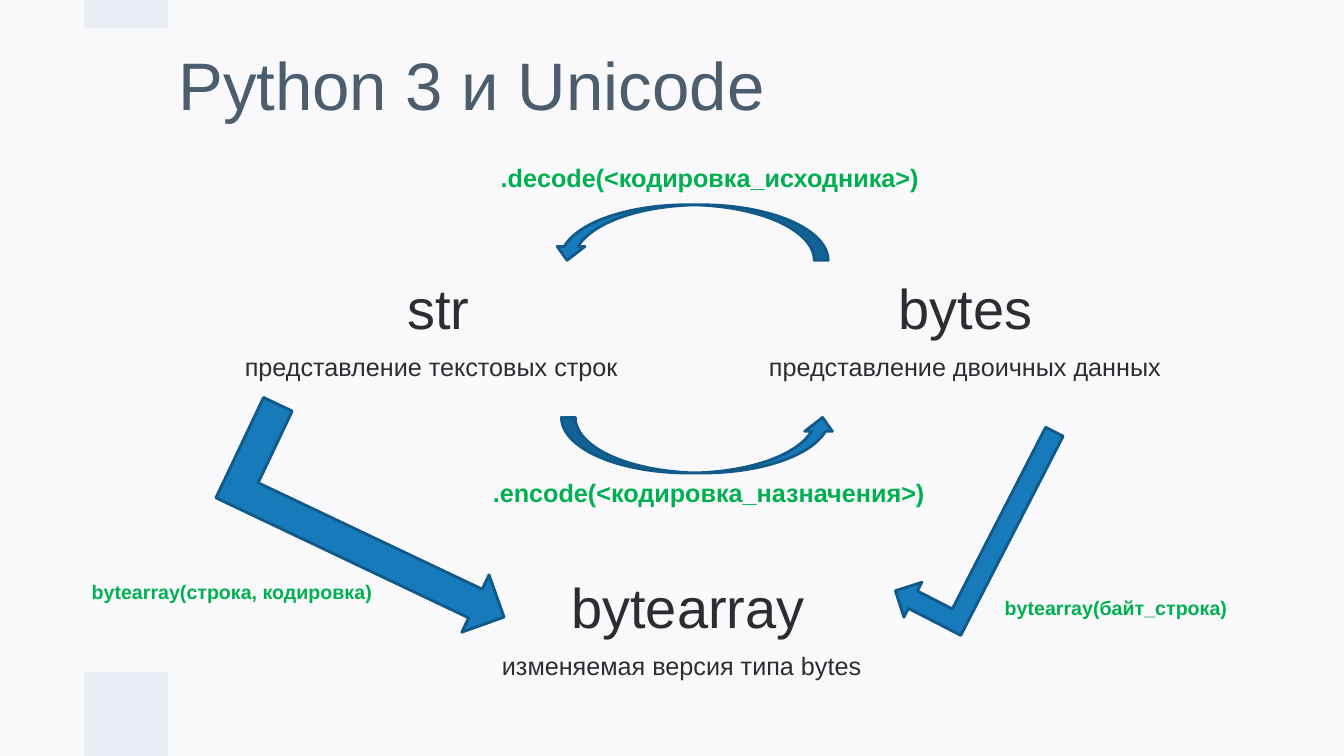
from dataclasses import dataclass

from pptx import Presentation
from pptx.dml.color import RGBColor
from pptx.enum.shapes import MSO_SHAPE
from pptx.enum.text import MSO_ANCHOR, PP_ALIGN
from pptx.util import Cm, Pt


@dataclass(frozen=True)
class Theme:
    """Colours, font and type sizes of the slide."""
    font: str = "Arial"
    background: str = "F9F9FB"
    band: str = "E9EDF4"
    title: str = "4C5D6E"
    text: str = "2C2D30"
    code: str = "00B050"
    arrow: str = "177BBB"
    outline: str = "105988"
    title_size: int = 48
    type_size: int = 40
    body_size: int = 18
    call_size: int = 14


def write(sp, text, *, font, size, color, bold=False, anchor=MSO_ANCHOR.TOP, spacing=None):
    """Put one formatted paragraph into a shape."""
    tf = sp.text_frame
    tf.word_wrap = True
    tf.vertical_anchor = anchor
    p = tf.paragraphs[0]
    p.alignment = PP_ALIGN.LEFT
    p.line_spacing = spacing
    r = p.add_run()
    r.text = text
    r.font.name = font
    r.font.size = Pt(size)
    r.font.bold = bold
    r.font.color.rgb = RGBColor.from_string(color)


class SlideBuilder:
    """Holds the theme and the current slide."""

    def __init__(self, prs, theme):
        """Add a title-only slide with a plain background."""
        self.theme = theme
        self.s = prs.slides.add_slide(prs.slide_layouts[5])
        fill = self.s.background.fill
        fill.solid()
        fill.fore_color.rgb = RGBColor.from_string(theme.background)

    def title(self, text, left, top, width, height):
        """Place and fill the title placeholder."""
        sp = self.s.shapes.title
        sp.left, sp.top, sp.width, sp.height = Cm(left), Cm(top), Cm(width), Cm(height)
        write(sp, text, font=self.theme.font, size=self.theme.title_size,
              color=self.theme.title, anchor=MSO_ANCHOR.MIDDLE, spacing=0.9)

    def shape(self, kind, left, top, width, height, color):
        """Add a filled preset shape without a line."""
        sp = self.s.shapes.add_shape(kind, Cm(left), Cm(top), Cm(width), Cm(height))
        sp.shadow.inherit = False
        sp.fill.solid()
        sp.fill.fore_color.rgb = RGBColor.from_string(color)
        sp.line.fill.background()
        return sp

    def arrow(self, kind, left, top, width, height, rotation=0, flip=False):
        """Add an outlined block arrow, turned and mirrored as asked."""
        sp = self.shape(kind, left, top, width, height, self.theme.arrow)
        sp.line.color.rgb = RGBColor.from_string(self.theme.outline)
        sp.line.width = Pt(2)
        sp.rotation = rotation
        if flip:
            sp.element.spPr.xfrm.set("flipH", "1")

    def label(self, text, left, top, width, height, size, color, bold=False):
        """Add a text box."""
        sp = self.s.shapes.add_textbox(Cm(left), Cm(top), Cm(width), Cm(height))
        write(sp, text, font=self.theme.font, size=size, color=color, bold=bold)

    def data_type(self, text, left, top, width):
        """Add the large name of a data type."""
        self.label(text, left, top, width, 1.96, self.theme.type_size, self.theme.text)

    def description(self, text, left, top, width):
        """Add the explanation below a data type."""
        self.label(text, left, top, width, 1.02, self.theme.body_size, self.theme.text)

    def method(self, text, left, top, width):
        """Add the name of a conversion method."""
        self.label(text, left, top, width, 1.02, self.theme.body_size, self.theme.code, True)

    def constructor(self, text, left, top, width):
        """Add a small constructor call."""
        self.label(text, left, top, width, 0.86, self.theme.call_size, self.theme.code, True)


def main():
    """Build and save the slide."""
    prs = Presentation()
    prs.slide_width, prs.slide_height = Cm(33.87), Cm(19.05)
    theme = Theme()
    slide = SlideBuilder(prs, theme)

    for top, height in ((0, 0.71), (16.94, 2.11)):
        slide.shape(MSO_SHAPE.RECTANGLE, 2.13, top, 2.11, height, theme.band)
    slide.title("Python 3 и Unicode", 4.24, 0.15, 25.48, 4.19)

    slide.data_type("str", 10.01, 6.76, 2.79)
    slide.data_type("bytes", 22.4, 6.76, 3.91)
    slide.data_type("bytearray", 14.15, 14.3, 6.45)
    slide.description("представление текстовых строк", 5.92, 8.74, 11.02)
    slide.description("представление двоичных данных", 19.13, 8.74, 10.49)
    slide.description("изменяемая версия типа bytes", 12.4, 16.26, 9.65)

    slide.arrow(MSO_SHAPE.CURVED_UP_ARROW, 14.15, 10.52, 6.93, 1.4)
    slide.arrow(MSO_SHAPE.CURVED_UP_ARROW, 13.94, 5.16, 6.93, 1.4, rotation=180)
    slide.method(".decode(<кодировка_исходника>)", 12.37, 3.96, 11.71)
    slide.method(".encode(<кодировка_назначения>)", 12.17, 11.91, 12.5)

    slide.arrow(MSO_SHAPE.BENT_UP_ARROW, 7.9, 9.22, 3.2, 7.85, rotation=115.4)
    slide.arrow(MSO_SHAPE.BENT_UP_ARROW, 21.62, 12.17, 5.89, 1.98, rotation=297.2, flip=True)
    slide.constructor("bytearray(строка, кодировка)", 2.06, 14.48, 7.62)
    slide.constructor("bytearray(байт_строка)", 25.07, 14.88, 6.15)

    prs.save("out.pptx")


if __name__ == "__main__":
    main()
